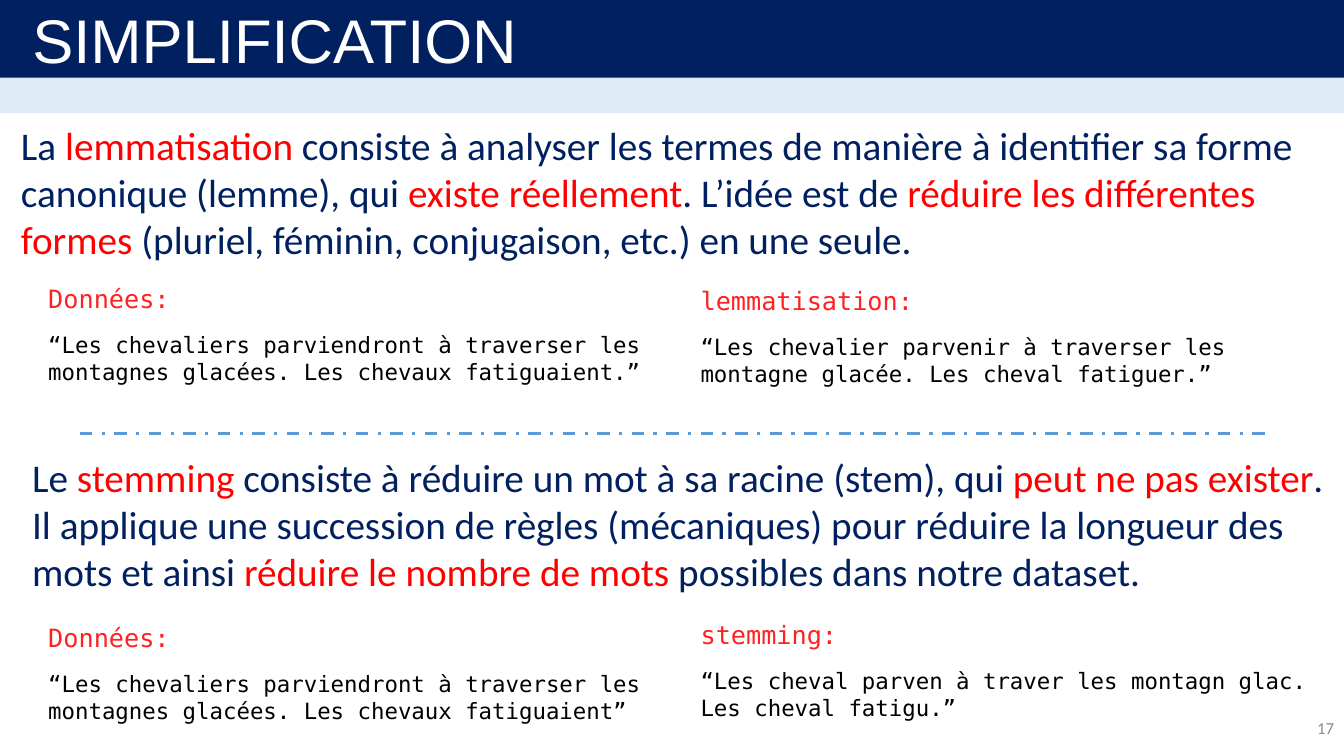
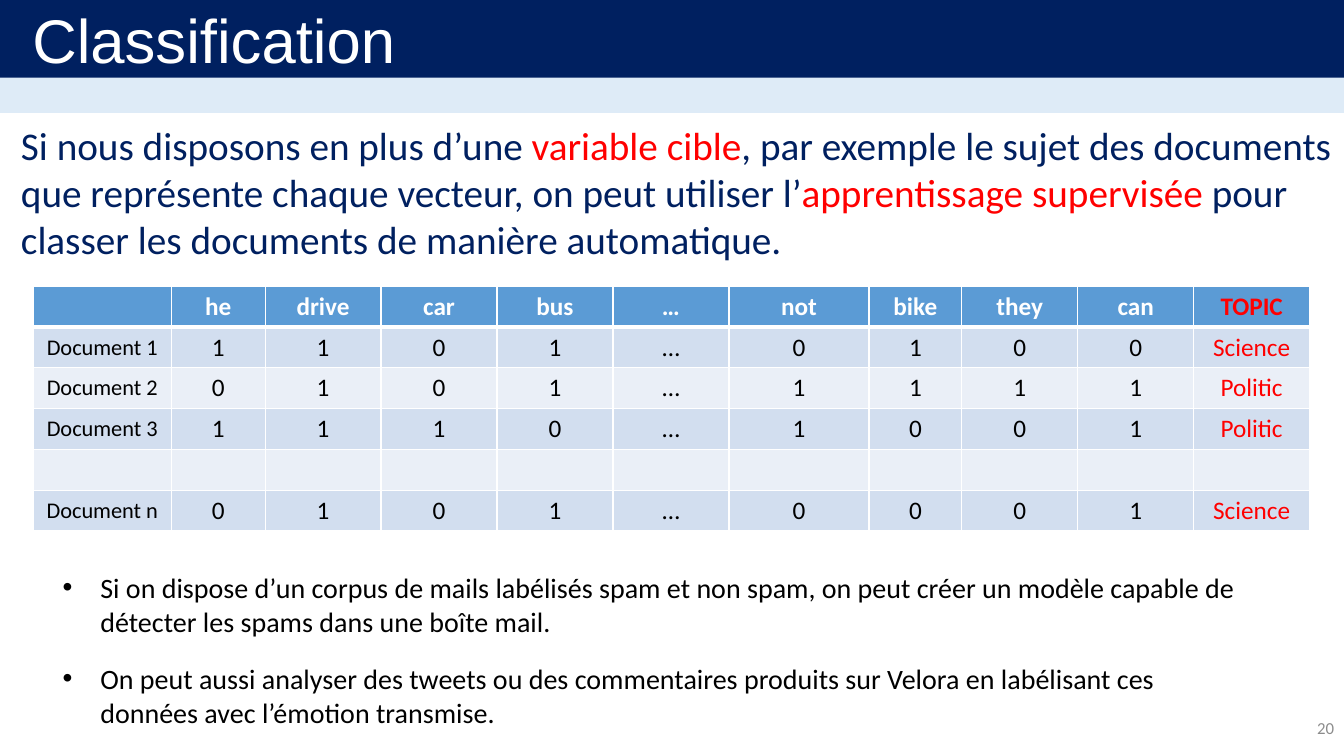
import pptx
import pptx.dml.color
import pptx.enum.dml
import pptx.enum.shapes
import pptx.enum.text
import pptx.oxml
import pptx.oxml.ns
import pptx.util

Inches, Pt = pptx.util.Inches, pptx.util.Pt
ALIGN = pptx.enum.text.PP_ALIGN
MIDDLE = pptx.enum.text.MSO_ANCHOR.MIDDLE

NAVY, PALE, BLUE = "002060", "DEEBF7", "5B9BD5"
RED, LABEL_RED, GREY = "FF0000", "FF2121", "8C8C8C"
WHITE, BLACK = "FFFFFF", "000000"
ROW_FILLS = ["D2DEEF", "EAEFF7"]
TITLE = {"name": "Arial", "size": Pt(44)}
LEAD = {"name": "Calibri", "size": Pt(28)}
LABEL = {"name": "DejaVu Sans Mono", "size": Pt(18)}
QUOTE = {"name": "DejaVu Sans Mono", "size": Pt(16)}
BULLET = {"name": "Calibri", "size": Pt(20)}
NUMBER = {"name": "Calibri", "size": Pt(12)}


def paint(fill, color):
    """Make the fill of a shape, line, cell or font solid."""
    fill.solid()
    fill.fore_color.rgb = pptx.dml.color.RGBColor.from_string(color)


def add_text(p, text, color, fmt):
    """Add runs to p; the parts between asterisks are red."""
    for i, part in enumerate(text.split("*")):
        r = p.add_run()
        r.text = part
        paint(r.font.fill, RED if i % 2 else color)
        for name, value in fmt.items():
            setattr(r.font, name, value)


prs = pptx.Presentation()
prs.slide_width, prs.slide_height = Inches(13.33), Inches(7.5)
simplification = prs.slides.add_slide(prs.slide_layouts[5])
classification = prs.slides.add_slide(prs.slide_layouts[1])

# Bands, drawn once and moved to the slide master
bands = [(0.76, 0.36, PALE), (0, 0.77, NAVY)]
for i, (top, height, color) in enumerate(bands):
    sp = simplification.shapes.add_shape(
        pptx.enum.shapes.MSO_SHAPE.RECTANGLE,
        0, Inches(top), prs.slide_width, Inches(height))
    sp.shadow.inherit = False
    paint(sp.fill, color)
    sp.line.fill.background()
    sp._element.nvSpPr.cNvPr.set("id", str(101 + i))
    prs.slide_master.shapes._spTree.insert(2 + i, sp._element)

# Titles and slide numbers
for slide, title, number in [(simplification, "SIMPLIFICATION", "17"),
                             (classification, "Classification", "20")]:
    sp = slide.shapes.title
    sp.left, sp.top, sp.width, sp.height = map(Inches, (0.22, -0.03, 13.33, 0.84))
    tf = sp.text_frame
    tf.auto_size = pptx.enum.text.MSO_AUTO_SIZE.NONE
    tf.vertical_anchor = MIDDLE
    tf.paragraphs[0].alignment = ALIGN.LEFT
    add_text(tf.paragraphs[0], title, WHITE, TITLE)

    tf = slide.shapes.add_textbox(*map(Inches, (12.94, 7.02, 0.39, 0.4))).text_frame
    tf.word_wrap = True
    tf.vertical_anchor = MIDDLE
    tf.paragraphs[0].alignment = ALIGN.RIGHT
    add_text(tf.paragraphs[0], number, GREY, NUMBER)

# Lead paragraphs
leads = [
    (simplification, 0.11, 1.15, 13.11,
     "La *lemmatisation* consiste à analyser les termes de manière à identifier "
     "sa forme canonique (lemme), qui *existe réellement*. L’idée est de *réduire "
     "les différentes formes* (pluriel, féminin, conjugaison, etc.) en une seule."),
    (simplification, 0.22, 4.45, 13.12,
     "Le *stemming *consiste à réduire un mot à sa racine (stem), qui *peut ne pas "
     "exister*. Il applique une succession de règles (mécaniques) pour réduire la "
     "longueur des mots et ainsi *réduire le nombre de mots* possibles dans notre "
     "dataset."),
    (classification, 0.11, 1.15, 13.3,
     "Si nous disposons en plus d’une *variable cible*, par exemple le sujet des "
     "documents que représente chaque vecteur, on peut utiliser l’*apprentissage "
     "supervisée *pour classer les documents de manière automatique."),
]
for slide, left, top, width, text in leads:
    tf = slide.shapes.add_textbox(*map(Inches, (left, top, width, 1.51))).text_frame
    tf.word_wrap = True
    add_text(tf.paragraphs[0], text, NAVY, LEAD)

# Examples before and after each treatment
examples = [
    (0.38, 2.76, "Données:",
     "“Les chevaliers parviendront à traverser les montagnes glacées. "
     "Les chevaux fatiguaient.”"),
    (6.85, 2.78, "lemmatisation:",
     "“Les chevalier parvenir à traverser les montagne glacée. "
     "Les cheval fatiguer.”"),
    (0.38, 6.12, "Données:",
     "“Les chevaliers parviendront à traverser les montagnes glacées. "
     "Les chevaux fatiguaient”"),
    (6.85, 6.09, "stemming:",
     "“Les cheval parven à traver les montagn glac. Les cheval fatigu.”"),
]
for left, top, label, quote in examples:
    sp = simplification.shapes.add_textbox(*map(Inches, (left, top, 6.29, 1.13)))
    tf = sp.text_frame
    tf.word_wrap = True
    add_text(tf.paragraphs[0], label, LABEL_RED, LABEL)
    p = tf.add_paragraph()
    p.space_before = Pt(13)
    add_text(p, quote, BLACK, QUOTE)

separator = simplification.shapes.add_connector(
    pptx.enum.shapes.MSO_CONNECTOR.STRAIGHT,
    *map(Inches, (0.79, 4.3, 12.55, 4.3)))
paint(separator.line.fill, BLUE)
separator.line.width = Pt(2.25)
separator.line.dash_style = pptx.enum.dml.MSO_LINE.DASH_DOT
separator._element.spPr.append(pptx.oxml.parse_xml(
    f'<a:effectLst {pptx.oxml.ns.nsdecls("a")}/>'))

# Document-term table with the target column
rows = [
    ["", "he", "drive", "car", "bus", "…", "not", "bike", "they", "can", "TOPIC"],
    ["Document 1", "1", "1", "0", "1", "…", "0", "1", "0", "0", "Science"],
    ["Document 2", "0", "1", "0", "1", "…", "1", "1", "1", "1", "Politic"],
    ["Document 3", "1", "1", "1", "0", "…", "1", "0", "0", "1", "Politic"],
    [""] * 11,
    ["Document n", "0", "1", "0", "1", "…", "0", "0", "0", "1", "Science"],
]
widths = [1.37, 0.93, 1.15, 1.15, 1.15, 1.15, 1.39, 0.92, 1.15, 1.15, 1.15]
table = classification.shapes.add_table(
    len(rows), len(widths), *map(Inches, (0.33, 2.84, 12.67, 2.43))).table
for column, width in zip(table.columns, widths):
    column.width = Inches(width)
for i, row in enumerate(rows):
    for j, text in enumerate(row):
        cell = table.cell(i, j)
        cell.vertical_anchor = MIDDLE
        for side in "LRTB":
            thick = (i, side) in [(0, "B"), (1, "T")]
            cell._tc.get_or_add_tcPr().append(pptx.oxml.parse_xml(
                f'<a:ln{side} {pptx.oxml.ns.nsdecls("a")} w="{Pt(3 if thick else 1)}">'
                f'<a:solidFill><a:srgbClr val="{WHITE}"/></a:solidFill></a:ln{side}>'))
        paint(cell.fill, ROW_FILLS[(i - 1) % 2] if i else BLUE)
        if text:
            p = cell.text_frame.paragraphs[0]
            p.alignment = ALIGN.CENTER
            color = RED if j == len(row) - 1 else BLACK if i else WHITE
            add_text(p, text, color, {"name": "Calibri", "bold": i == 0,
                                      "size": Pt(18 if j else 16)})

# Uses of classification
sp = classification.placeholders[1]
sp.left, sp.top, sp.width, sp.height = map(Inches, (0.52, 5.61, 12.06, 1.68))
tf = sp.text_frame
tf.auto_size = pptx.enum.text.MSO_AUTO_SIZE.NONE
uses = [
    "Si on dispose d’un corpus de mails labélisés spam et non spam, on peut créer "
    "un modèle capable de détecter les spams dans une boîte mail.",
    "On peut aussi analyser des tweets ou des commentaires produits sur Velora en "
    "labélisant ces données avec l’émotion transmise.",
]
for i, text in enumerate(uses):
    p = tf.add_paragraph() if i else tf.paragraphs[0]
    p.space_before = Pt(17 if i else 0)
    add_text(p, text, BLACK, BULLET)

prs.save("out.pptx")
